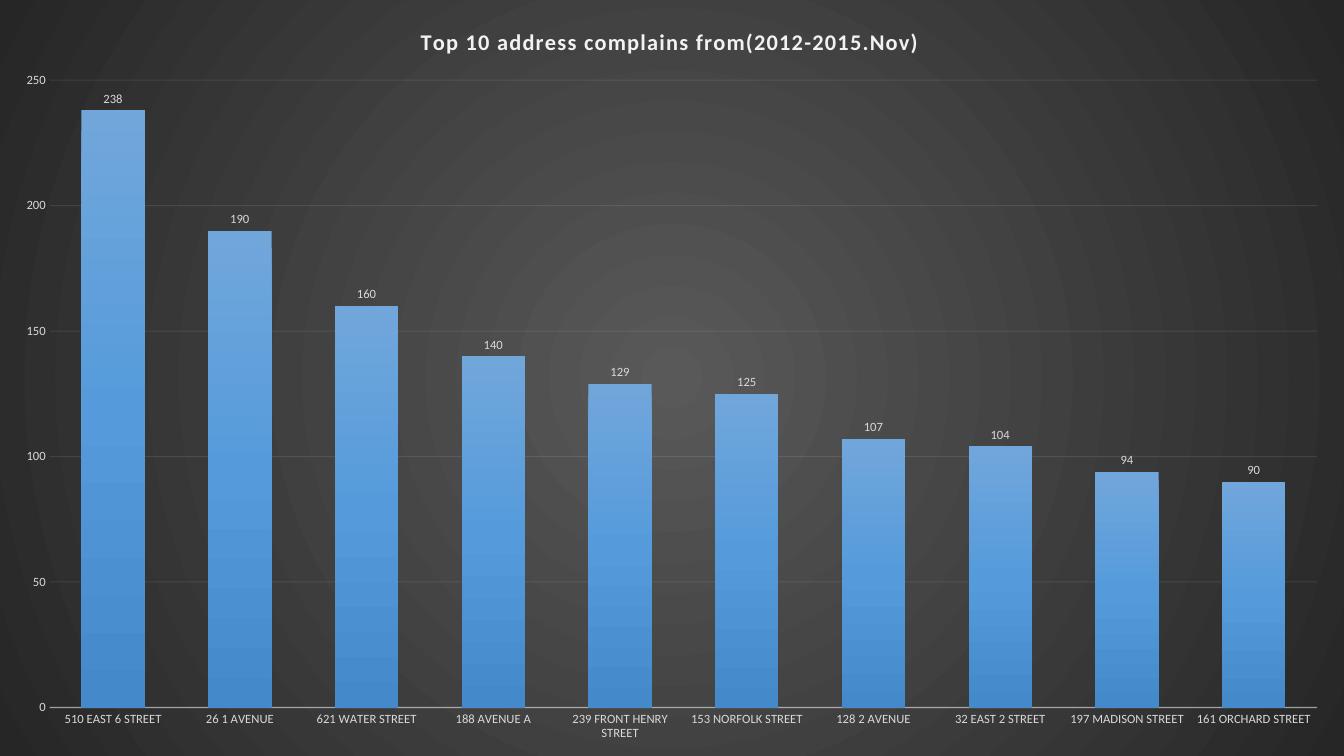
from pptx import Presentation
from pptx.chart.data import CategoryChartData
from pptx.dml.color import RGBColor
from pptx.enum.chart import XL_CHART_TYPE, XL_LABEL_POSITION, XL_TICK_MARK
from pptx.oxml import parse_xml
from pptx.oxml.ns import nsdecls, qn
from pptx.util import Inches, Pt

COLUMN = XL_CHART_TYPE.COLUMN_CLUSTERED
OUTSIDE_END = XL_LABEL_POSITION.OUTSIDE_END
NO_TICK = XL_TICK_MARK.NONE
FONT_NAME = "Calibri"
LABEL_COLOR = "D9D9D9"
LINE_COLOR = "F2F2F2"
TITLE = "Top 10 address complains from(2012-2015.Nov)"
COMPLAINTS = {
    "510 EAST 6 STREET": 238,
    "26 1 AVENUE": 190,
    "621 WATER STREET": 160,
    "188 AVENUE A": 140,
    "239 FRONT HENRY STREET": 129,
    "153 NORFOLK STREET": 125,
    "128 2 AVENUE": 107,
    "32 EAST 2 STREET": 104,
    "197 MADISON STREET": 94,
    "161 ORCHARD STREET": 90,
}
LINEAR_DOWN = '<a:lin ang="5400000" scaled="0"/>'
FROM_CENTRE = ('<a:path path="circle"><a:fillToRect l="50000" t="50000" '
               'r="50000" b="50000"/></a:path>')


def rgb(color):
    return RGBColor.from_string(color)


def style_font(font, size, color, bold=False):
    font.name = FONT_NAME
    font.size = Pt(size)
    font.bold = bold
    font.color.rgb = rgb(color)


def style_line(line, width, opacity):
    """Draw a line in the shared line colour, with opacity in percent."""
    line.width = Pt(width)
    line.color.rgb = rgb(LINE_COLOR)
    color = next(line.fill._xPr.iter(qn("a:srgbClr")))
    color.append(parse_xml(f'<a:alpha {nsdecls("a")} val="{opacity * 1000}"/>'))


def gradient(colors, direction):
    """Return a gradient fill with evenly spaced stops."""
    step = 100000 // (len(colors) - 1)
    stops = "".join(f'<a:gs pos="{index * step}"><a:srgbClr val="{color}"/></a:gs>'
                    for index, color in enumerate(colors))
    return parse_xml(f'<a:gradFill {nsdecls("a")} rotWithShape="1">'
                     f"<a:gsLst>{stops}</a:gsLst>{direction}</a:gradFill>")


def manual_layout(target="", **fractions):
    """Return a layout placed by fractions of the chart area."""
    if target:
        target = f'<c:layoutTarget val="{target}"/>'
    modes = "".join(f'<c:{name}Mode val="edge"/>' for name in "xy")
    values = "".join(f'<c:{name} val="{value}"/>' for name, value in fractions.items())
    return parse_xml(f'<c:layout {nsdecls("c")}><c:manualLayout>{target}{modes}{values}'
                     "</c:manualLayout></c:layout>")


def remove_layout(element):
    for layout in element.findall(qn("c:layout")):
        element.remove(layout)


def add_background(chart):
    area = parse_xml(f'<c:spPr {nsdecls("c", "a")}><a:ln><a:noFill/></a:ln></c:spPr>')
    area.insert(0, gradient(["595959", "262626"], FROM_CENTRE))
    chart._chartSpace.find(qn("c:chart")).addnext(area)


def add_title(chart):
    chart.has_title = True
    title = chart.chart_title
    run = title.text_frame.paragraphs[0].add_run()
    run.text = TITLE
    style_font(run.font, 16, LINE_COLOR, bold=True)
    run.font._element.set("spc", "100")
    title.include_in_layout = False
    element = title._element
    remove_layout(element)
    element.find(qn("c:tx")).addnext(manual_layout(x=0.31, y=0.03))


def style_axes(chart):
    for axis in (chart.category_axis, chart.value_axis):
        axis.major_tick_mark = axis.minor_tick_mark = NO_TICK
        style_font(axis.tick_labels.font, 9, LABEL_COLOR)
    chart.category_axis.has_major_gridlines = False
    style_line(chart.category_axis.format.line, 1, 54)
    value_axis = chart.value_axis
    value_axis.minimum_scale, value_axis.maximum_scale = 0, 250
    value_axis.major_unit = 50
    value_axis.format.line.fill.background()
    style_line(value_axis.major_gridlines.format.line, 0.75, 10)


def style_columns(chart):
    plot = chart.plots[0]
    plot.gap_width = 100
    plot.overlap = -24
    plot.vary_by_categories = False
    series = plot.series[0]
    series._element.get_or_add_spPr().insert(
        0, gradient(["71A6DB", "559BDB", "448ACA"], LINEAR_DOWN))
    labels = series.data_labels
    labels.show_value = True
    labels.position = OUTSIDE_END
    style_font(labels.font, 9, LABEL_COLOR)


def place_plot(chart):
    plot_area = chart._chartSpace.find(qn("c:chart")).find(qn("c:plotArea"))
    remove_layout(plot_area)
    plot_area.insert(0, manual_layout("inner", x=0.037, y=0.106, w=0.943, h=0.83))


def add_complaints_chart(slide, width, height):
    data = CategoryChartData()
    data.categories = list(COMPLAINTS)
    data.add_series("Series 1", list(COMPLAINTS.values()))
    chart = slide.shapes.add_chart(COLUMN, 0, 0, width, height, data).chart
    chart.has_legend = False
    style_font(chart.font, 10, "000000")
    add_background(chart)
    add_title(chart)
    style_axes(chart)
    style_columns(chart)
    place_plot(chart)


def main():
    presentation = Presentation()
    presentation.slide_width = Inches(13.33)
    presentation.slide_height = Inches(7.5)
    slide = presentation.slides.add_slide(presentation.slide_layouts[6])
    add_complaints_chart(slide, presentation.slide_width, presentation.slide_height)
    presentation.save("out.pptx")


if __name__ == "__main__":
    main()
